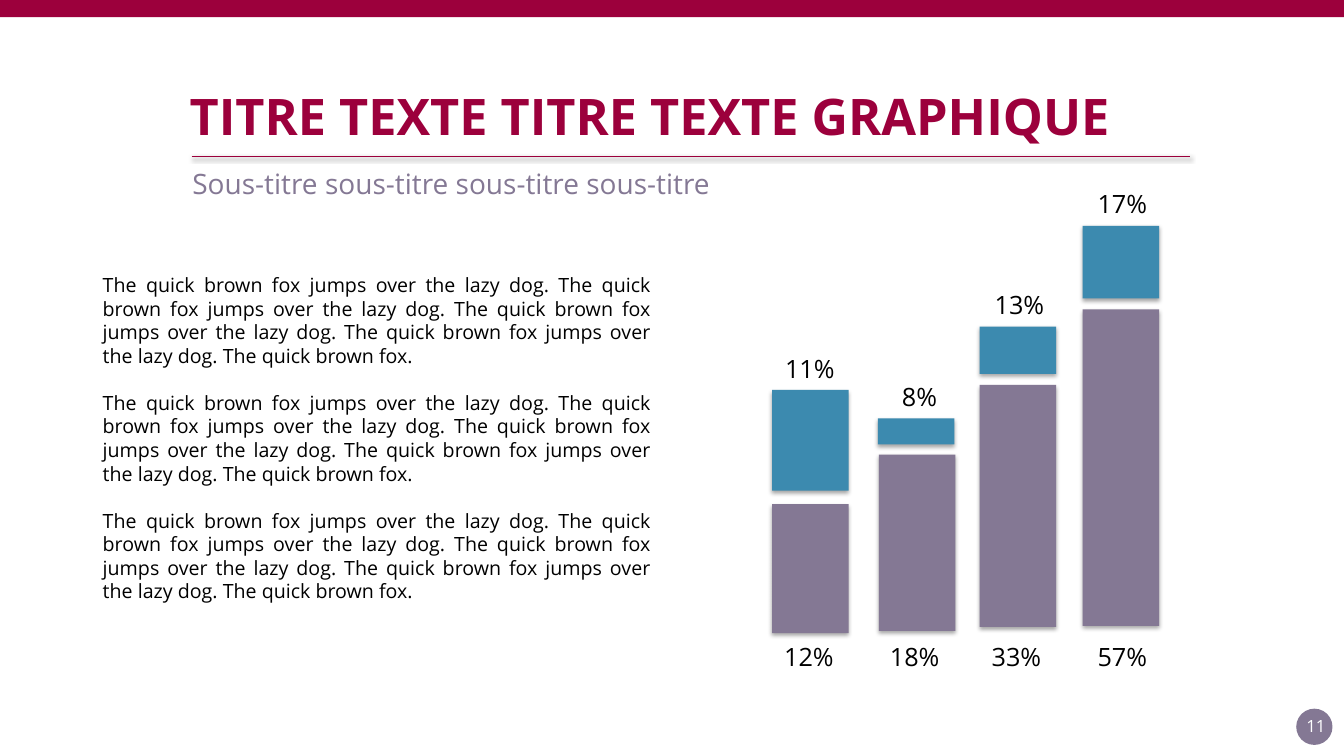
from dataclasses import dataclass
from typing import Optional

from lxml import etree
from pptx import Presentation
from pptx.dml.color import RGBColor
from pptx.enum.shapes import MSO_CONNECTOR, MSO_SHAPE as SHAPE
from pptx.enum.text import MSO_ANCHOR as ANCHOR, MSO_AUTO_SIZE as AUTO, PP_ALIGN as ALIGN
from pptx.oxml.ns import qn
from pptx.util import Pt

CRIMSON, MAUVE, BLUE, BLACK, WHITE = "9C003C", "847894", "3C8AAF", "000000", "FFFFFF"
FONT = "Open Sans"
BAR_WIDTH = 54.7
LABEL_WIDTH, LABEL_HEIGHT = 130.3, 28.8
LOWER_LABEL_TOP = 454.3
FOX = "The quick brown fox jumps over the lazy dog. "
PARAGRAPH = FOX * 4 + "The quick brown fox."


@dataclass
class Shadow:
    alpha: int
    blur: float
    distance: float
    angle: int


@dataclass
class Segment:
    left: float
    top: float
    height: float
    label: str
    label_left: float


@dataclass
class Column:
    lower: Segment
    upper: Segment


BAR_SHADOW = Shadow(35, 3.1, 1.8, 90)
RULE_SHADOW = Shadow(38, 3.1, 1.6, 90)
TITLE_SHADOW = Shadow(43, 4, 3, 45)

COLUMNS = [
    Column(Segment(551.5, 360, 92.2, "12%", 553), Segment(551.5, 278.6, 72, "11%", 553.7)),
    Column(Segment(627.8, 324.7, 126, "18%", 628.6), Segment(627.1, 298.8, 18.7, "8%", 637.2)),
    Column(Segment(699.8, 275, 172.8, "33%", 701.3), Segment(699.8, 233.3, 33.8, "13%", 703.4)),
    Column(Segment(773.3, 221, 226.1, "57%", 776.9), Segment(773.3, 161.3, 51.8, "17%", 776.9)),
]


def rgb(color: str) -> RGBColor:
    return RGBColor.from_string(color)


def shadow_effect(shadow: Shadow):
    """Return an effect list holding one outer shadow."""
    effects = etree.Element(qn("a:effectLst"))
    outer = etree.SubElement(
        effects, qn("a:outerShdw"), blurRad=str(int(Pt(shadow.blur))),
        dist=str(int(Pt(shadow.distance))), dir=str(shadow.angle * 60000),
        algn="tl", rotWithShape="0")
    color = etree.SubElement(outer, qn("a:srgbClr"), val=BLACK)
    etree.SubElement(color, qn("a:alpha"), val=str(shadow.alpha * 1000))
    return effects


def add_block(s, kind, left: float, top: float, width: float, height: float,
              color: str, shadow: Optional[Shadow] = None) -> None:
    sp = s.shapes.add_shape(kind, Pt(left), Pt(top), Pt(width), Pt(height))
    sp.fill.solid()
    sp.fill.fore_color.rgb = rgb(color)
    sp.line.fill.background()
    sp.shadow.inherit = False
    if shadow:
        plain = sp._element.spPr.find(qn("a:effectLst"))
        plain.getparent().replace(plain, shadow_effect(shadow))


def place(sp, left: float, top: float, width: float, height: float) -> None:
    box = {"left": left, "top": top, "width": width, "height": height}
    for name, value in box.items():
        setattr(sp, name, Pt(value))


def write(sp, paragraphs: list[str], size: float, color: str, bold: bool = False,
          align=ALIGN.LEFT, anchor=ANCHOR.TOP, wrap: bool = True, gap: float = 0) -> None:
    tf = sp.text_frame
    frame_format = {"word_wrap": wrap, "auto_size": AUTO.NONE, "vertical_anchor": anchor}
    for name, value in frame_format.items():
        setattr(tf, name, value)
    for i, text in enumerate(paragraphs):
        p = tf.add_paragraph() if i else tf.paragraphs[0]
        p.alignment = align
        p.space_before = Pt(gap if i else 0)
        r = p.add_run()
        r.text = text
        for name, value in {"size": Pt(size), "name": FONT, "bold": bold}.items():
            setattr(r.font, name, value)
        r.font.color.rgb = rgb(color)


def add_text(s, text: str, left: float, top: float, width: float, height: float,
             size: float, color: str, **options) -> None:
    sp = s.shapes.add_textbox(Pt(left), Pt(top), Pt(width), Pt(height))
    write(sp, [text], size, color, **options)


def add_title(s) -> None:
    sp = s.shapes.title
    place(sp, 128.2, 56.9, 1007.3, 51.1)
    write(sp, ["TITRE TEXTE TITRE TEXTE GRAPHIQUE"], 36, CRIMSON, bold=True)
    r = sp.text_frame.paragraphs[0].runs[0]
    r._r.rPr.find(qn("a:solidFill")).addnext(shadow_effect(TITLE_SHADOW))


def add_body(s) -> None:
    sp = s.placeholders[1]
    place(sp, 66.2, 191.5, 406.1, 244.8)
    write(sp, [PARAGRAPH] * 3, 14, BLACK, align=ALIGN.JUSTIFY, gap=16.8)
    for p in sp.text_frame.paragraphs:
        pPr = p._p.get_or_add_pPr()
        pPr.set("marL", "0")
        pPr.set("indent", "0")
        etree.SubElement(pPr, qn("a:buNone"))


def add_rule(s) -> None:
    line = s.shapes.add_connector(
        MSO_CONNECTOR.STRAIGHT, Pt(136.8), Pt(111.6), Pt(850.3), Pt(111.6))
    line.line.color.rgb = rgb(CRIMSON)
    line.line.width = Pt(1)
    line._element.spPr.append(shadow_effect(RULE_SHADOW))


def add_columns(s) -> None:
    for column in COLUMNS:
        upper_label_top = column.upper.top - 30
        for seg, color, label_top in ((column.lower, MAUVE, LOWER_LABEL_TOP),
                                      (column.upper, BLUE, upper_label_top)):
            add_block(s, SHAPE.RECTANGLE, seg.left, seg.top, BAR_WIDTH, seg.height,
                      color, BAR_SHADOW)
            add_text(s, seg.label, seg.label_left, label_top,
                     LABEL_WIDTH, LABEL_HEIGHT, 18, BLACK)


def main() -> None:
    prs = Presentation()
    prs.slide_width, prs.slide_height = Pt(960), Pt(540)
    s = prs.slides.add_slide(prs.slide_layouts[1])
    add_block(s, SHAPE.OVAL, 925.9, 506.2, 25.9, 25.9, MAUVE)
    add_body(s)
    add_columns(s)
    add_text(s, "Sous-titre sous-titre sous-titre sous-titre",
             130.3, 115.2, 404.6, 31.7, 20, MAUVE, wrap=False)
    add_rule(s)
    add_title(s)
    add_text(s, "11", 920.9, 504, 38.2, 28.8, 12, WHITE,
             align=ALIGN.CENTER, anchor=ANCHOR.MIDDLE)
    add_block(s, SHAPE.RECTANGLE, -1.4, -1.4, 963.4, 13.7, CRIMSON)
    prs.save("out.pptx")


if __name__ == "__main__":
    main()
